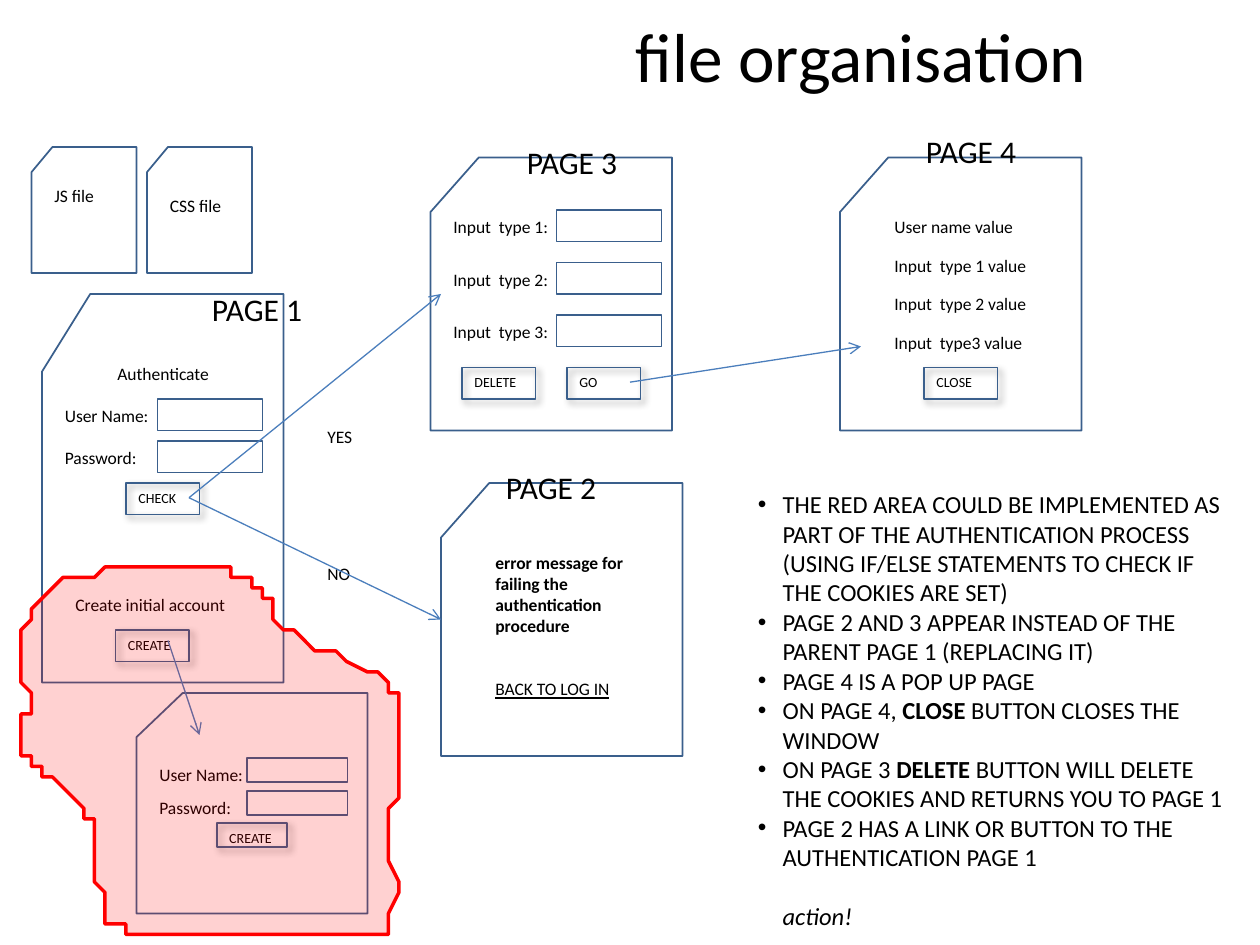
from collections import namedtuple
from pptx import Presentation
from pptx.util import Cm, Pt
from pptx.dml.color import RGBColor as RGB
from pptx.enum.shapes import MSO_SHAPE as Shape, MSO_CONNECTOR as Conn
from pptx.enum.text import PP_ALIGN as Align, MSO_ANCHOR as Anchor
from pptx.oxml.ns import qn
from lxml.etree import SubElement as Sub

HEX = {"line": "3A5F8C", "arrow": "4B7EBC", "red": "FF0000", "ink": "000000"}
FONT = "Calibri"
STEP = 2.54 / 12  # one grid step in cm, 12 to the inch

# Content: all positions and sizes below are in grid steps
Card = namedtuple("Card", "left top wide high")
Form = namedtuple("Form", "names left field top gap wide high")
Key = namedtuple("Key", "text left top wide high", defaults=(7, 3))
Label = namedtuple("Label", "text left top wide size", defaults=(10,))

PAGE = (23, 26)
cards = [Card(4, 28, 23, 37), Card(42, 46, *PAGE), Card(41, 15, *PAGE),
         Card(80, 15, *PAGE), Card(13, 66, 22, 21),
         Card(3, 14, 10, 12), Card(14, 14, 10, 12)]
login = ["User Name:", "Password:"]
inputs = [f"Input  type {n}:" for n in (1, 2, 3)]
forms = [Form(login, 5, 15, 38, 4, 10, 3),
         Form(inputs, 42, 53, 20, 5, 10, 3),
         Form(login, 14, 23.5, 72.2, 3.15, 9.6, 2.3)]
keys = [Key("CHECK", 12, 46), Key("CREATE", 11, 60), Key("DELETE", 44, 35),
        Key("GO", 54, 35), Key("CLOSE", 88, 35),
        Key("CREATE", 20.65, 78.4, 6.7, 2.3)]
labels = [Label("JS file", 4, 17, 8), Label("CSS file", 15, 18, 8),
          Label("Authenticate", 10, 34, 13),
          Label("Create initial account", 6, 56, 20),
          Label("YES", 30, 40, 6), Label("NO", 30, 53, 6)]
values = ["User name value", "Input  type 1 value", "Input  type 2 value",
          "Input  type3 value"]
labels += [Label(text, 84, 20 + 3.67 * n, 18) for n, text in enumerate(values)]
spots = [(19, 27), (47, 44), (49, 13), (87, 12)]
labels += [Label(f"PAGE {n}", *spot, 14, 18) for n, spot in enumerate(spots, 1)]

check, create, go = (18, 47.4), (16, 61), (60, 36.4)
arrows = [(create, (19, 70)), (check, (42, 28)), (check, (42, 59)),
          (go, (82, 33))]

# Bends of the red area, clockwise; a smooth curve joins them
bends = {
    "top": [(2, 61), (5, 56), (8, 54.7), (16, 54), (21, 54.2), (25, 56.2),
            (27.5, 60.5)],
    "right": [(36, 64.2), (37.6, 66.5), (38, 72), (37.4, 78), (37.2, 88.4)],
    "bottom": [(33, 89.1), (28.5, 88.6), (26.5, 89.4), (18, 89), (11.5, 88.5)],
    "left": [(9.5, 85), (9, 79.5), (8, 77), (5, 74.5), (2, 71), (2.6, 67)],
}

error = "error message for failing the authentication procedure"
# Odd pieces of each note are bold
notes = [
    ["THE RED AREA COULD BE IMPLEMENTED AS PART OF THE AUTHENTICATION PROCESS "
     "(USING IF/ELSE STATEMENTS TO CHECK IF THE COOKIES ARE SET)"],
    ["PAGE 2 AND 3 APPEAR INSTEAD OF THE PARENT PAGE 1 (REPLACING IT)"],
    ["PAGE 4 IS A POP UP PAGE"],
    ["ON PAGE 4, ", "CLOSE", " BUTTON CLOSES THE WINDOW"],
    ["ON PAGE 3 ", "DELETE",
     " BUTTON WILL DELETE THE COOKIES AND RETURNS YOU TO PAGE 1"],
    ["PAGE 2 HAS A LINK OR BUTTON TO THE AUTHENTICATION PAGE 1"],
]


def grid(*steps):
    return [Cm(n * STEP) for n in steps]


def paint(name):
    return RGB.from_string(HEX[name])


def stroke(obj, color, width):
    obj.line.color.rgb = paint(color)
    obj.line.width = Pt(width)


def draw(kind, *spot):
    box = slide.shapes.add_shape(kind, *grid(*spot))
    box.shadow.inherit = False
    box.fill.background()
    stroke(box, "line", 1)
    return box


def write(para, text, size, **form):
    run = para.add_run()
    run.text = text
    run.font.color.rgb = paint("ink")
    for name, val in dict(name=FONT, size=Pt(size), **form).items():
        setattr(run.font, name, val)


def frame(*spot):
    text = slide.shapes.add_textbox(*grid(*spot)).text_frame
    text.word_wrap = True
    return text


def tag(item):
    high = item.size * 0.2 + 1.2  # one line plus the insets
    text = frame(item.left, item.top, item.wide, high)
    write(text.paragraphs[0], item.text, item.size)


def shade(box):
    fx = box._element.spPr.find(qn("a:effectLst"))
    outer = Sub(fx, qn("a:outerShdw"), blurRad=str(Pt(4)), dist=str(Pt(3)),
                dir="2700000", algn="tl", rotWithShape="0")
    tint = Sub(outer, qn("a:srgbClr"), val=HEX["ink"])
    Sub(tint, qn("a:alpha"), val="40000")


def curve(knots, parts=6):
    """Closed Catmull-Rom curve through the knots."""
    dots = []
    for n in range(len(knots)):
        near = [knots[(n + k) % len(knots)] for k in (-1, 0, 1, 2)]
        for t in (k / parts for k in range(parts)):
            dots.append(tuple(
                b + t * (c - a) / 2 + t ** 2 * (2 * a - 5 * b + 4 * c - d) / 2
                + t ** 3 * (3 * b - a - 3 * c + d) / 2
                for a, b, c, d in zip(*near)))
    return dots


deck = Presentation()
deck.slide_width, deck.slide_height = Cm(25.4), Cm(19.05)
slide = deck.slides.add_slide(deck.slide_layouts[6])

# Title
title = frame(51, 2, 62, 6.4)
title.vertical_anchor = Anchor.MIDDLE
title.paragraphs[0].alignment = Align.CENTER
write(title.paragraphs[0], "file organisation", 39.6)

# Pages
for card in cards:
    draw(Shape.FLOWCHART_CARD, *card)

# Forms: one row per name, label then field
for form in forms:
    for row, name in enumerate(form.names):
        top = form.top + row * form.gap
        draw(Shape.RECTANGLE, form.field, top, form.wide, form.high)
        tag(Label(name, form.left, top, 12))

# Buttons
for key in keys:
    shade(draw(Shape.RECTANGLE, *key[1:]))
    tag(Label(key.text, key.left, key.top, 8, 8))

# Labels and page names
for item in labels:
    tag(item)

# Error message
fail = frame(46, 52, 17, 15.4)
write(fail.paragraphs[0], error, 10, bold=True)
back = fail.add_paragraph()
back.space_before = Pt(24)
write(back, "BACK TO LOG IN", 10, underline=True)

# Arrows
for start, end in arrows:
    link = slide.shapes.add_connector(Conn.STRAIGHT, *grid(*start, *end))
    stroke(link, "arrow", 0.75)
    Sub(link.line._get_or_add_ln(), qn("a:tailEnd"), type="arrow")
    Sub(link._element.spPr, qn("a:effectLst"))

# Red area
first, *rest = curve(sum(bends.values(), []))
pen = slide.shapes.build_freeform(*first, scale=Cm(2.54) / 12)
pen.add_line_segments(rest, close=True)
blob = pen.convert_to_shape()
blob.shadow.inherit = False
blob.fill.solid()
blob.fill.fore_color.rgb = paint("red")
Sub(blob._element.spPr.find(qn("a:solidFill"))[0], qn("a:alpha"), val="18000")
stroke(blob, "red", 2)

# Notes: bullets, then a closing line without one
body = frame(71, 46, 47, 43.5)
for n, parts in enumerate(notes + [["action!"]]):
    para = body.add_paragraph() if n else body.paragraphs[0]
    last = n == len(notes)
    props = para._p.get_or_add_pPr()
    props.set("marL", str(Cm(0.5)))
    props.set("indent", str(0 if last else -Cm(0.5)))
    if last:
        para.space_before = Pt(17)
    else:
        Sub(props, qn("a:buFont"), typeface="Arial")
        Sub(props, qn("a:buChar"), char="•")
    for k, text in enumerate(parts):
        write(para, text, 14, bold=k % 2 == 1, italic=last)

deck.save("out.pptx")
